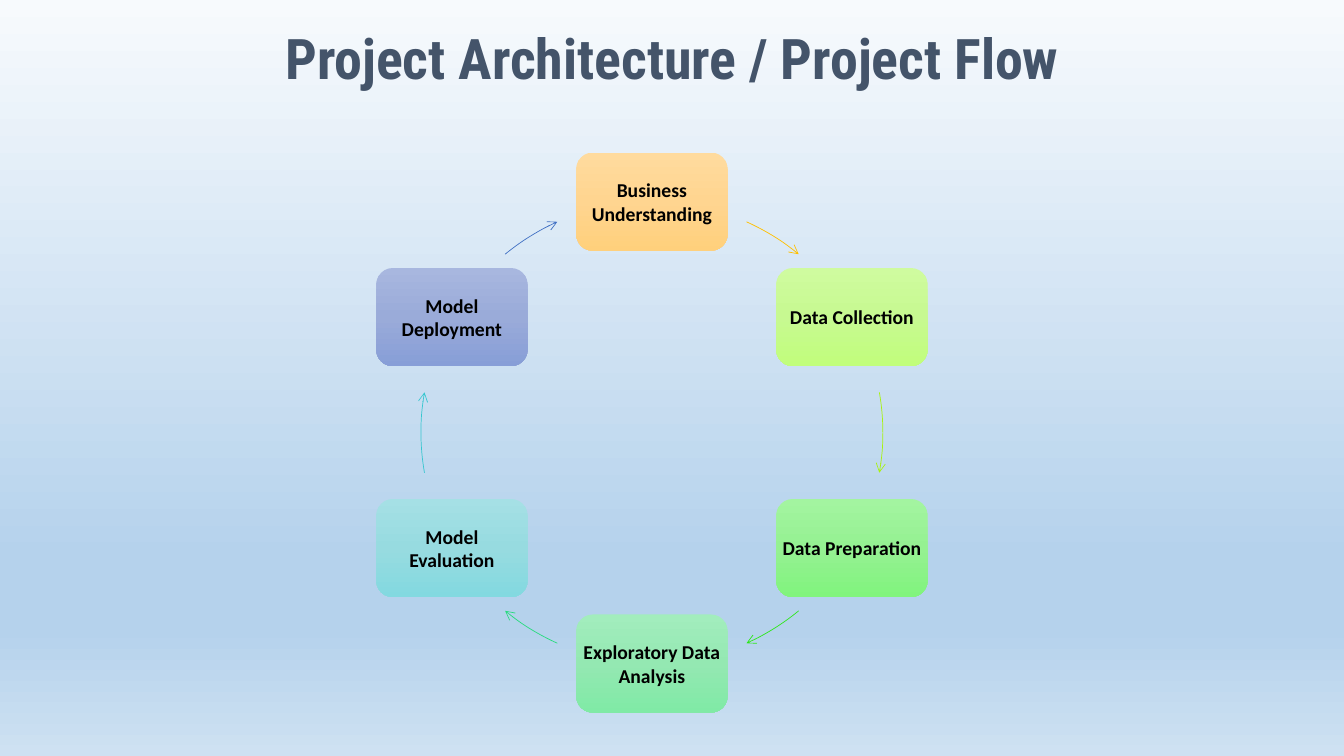
from math import cos, radians, sin

from lxml.etree import SubElement
from pptx import Presentation
from pptx.dml.color import RGBColor
from pptx.enum.shapes import MSO_SHAPE as Shape
from pptx.enum.text import MSO_ANCHOR as Anchor, PP_ALIGN as Align
from pptx.oxml.ns import qn
from pptx.util import Cm, Pt

COLORS = {"title": "44546A", "label": "000000"}
BACKDROP = [(0, "F7FAFD"), (74, "B5D2EC"), (83, "B5D2EC"), (100, "CEE1F2")]

# Clockwise from the top: label, gradient from top to bottom, colour of the arrow that follows
STAGES = [
    ("Business Understanding", ("FFDB9E", "FFD590", "FFD07C"), "FFC000"),
    ("Data Collection", ("CFFB9F", "C7F991", "C1FE7C"), "A7F30E"),
    ("Data Preparation", ("A3F4A0", "95F192", "81F47E"), "2EE71B"),
    ("Exploratory Data Analysis", ("A2EDBD", "94E8B2", "80EAA6"), "29DB7F"),
    ("Model Evaluation", ("A5E0E5", "97DBE0", "83D9E0"), "36C6CF"),
    ("Model Deployment", ("A8B7DF", "9AABD9", "879ED7"), "4372C4"),
]
# Start and end of the first three arrows in degrees; the other three lie opposite
ARROW_SPANS = [(294.18, 309.47), (349.97, 10.03), (50.53, 65.82)]
STAGE_WIDTH, STAGE_HEIGHT = 3.81, 2.47


def paint_gradient(fill, owner, stops):
    """Fill from top to bottom with (percent, colour) stops; owner is the XML element holding the fill."""
    fill.gradient()
    fill.gradient_angle = 270
    stop_list = owner.find(".//" + qn("a:gsLst"))
    for old_stop in list(stop_list):
        stop_list.remove(old_stop)
    for percent, color in stops:
        stop = SubElement(stop_list, qn("a:gs"), pos=str(percent * 1000))
        SubElement(stop, qn("a:srgbClr"), val=color)


def write(frame, text, font_name, size, color):
    frame.word_wrap = True
    frame.vertical_anchor = Anchor.MIDDLE
    paragraph = frame.paragraphs[0]
    paragraph.alignment = Align.CENTER
    run = paragraph.add_run()
    run.text = text
    run.font.name = font_name
    run.font.size = Pt(size)
    run.font.bold = True
    run.font.color.rgb = RGBColor.from_string(color)
    return paragraph


def add_title(slide, left, top, width, height):
    title = slide.shapes.title
    title.left, title.top, title.width, title.height = map(Cm, (left, top, width, height))
    heading = write(title.text_frame, "Project Architecture / Project Flow",
                    "Roboto Condensed", 40, COLORS["title"])
    heading.line_spacing = 0.9


def add_stage(slide, center_x, center_y, label, gradient):
    stage = slide.shapes.add_shape(
        Shape.ROUNDED_RECTANGLE, Cm(center_x - STAGE_WIDTH / 2), Cm(center_y - STAGE_HEIGHT / 2),
        Cm(STAGE_WIDTH), Cm(STAGE_HEIGHT))
    stage.shadow.inherit = False
    stage.line.fill.background()
    paint_gradient(stage.fill, stage._element.spPr, zip((0, 50, 100), gradient))
    frame = stage.text_frame
    frame.margin_left = frame.margin_right = frame.margin_top = frame.margin_bottom = 0
    write(frame, label, "Calibri", 14, COLORS["label"])


def add_arc_arrow(slide, left, top, diameter, span, color):
    arrow = slide.shapes.add_shape(Shape.ARC, Cm(left), Cm(top), Cm(diameter), Cm(diameter))
    arrow.shadow.inherit = False
    arrow.fill.background()
    # Arc angles count 60000ths of a degree, adjustments 100000ths of a unit
    for index, angle in enumerate(span):
        arrow.adjustments[index] = angle * 0.6
    arrow.line.color.rgb = RGBColor.from_string(color)
    arrow.line.width = Pt(0.5)
    SubElement(arrow.line._get_or_add_ln(), qn("a:tailEnd"), type="arrow")


def add_cycle(slide, left, top, diameter):
    """Place the stages on a circle in the given square, with an arrow after each."""
    radius = diameter / 2
    step = 360 / len(STAGES)
    for index, (label, gradient, arrow_color) in enumerate(STAGES):
        angle = radians(index * step - 90)
        add_stage(slide, left + radius * (1 + cos(angle)), top + radius * (1 + sin(angle)),
                  label, gradient)
        half_turns, position = divmod(index, len(ARROW_SPANS))
        span = [(degrees + 180 * half_turns) % 360 for degrees in ARROW_SPANS[position]]
        add_arc_arrow(slide, left, top, diameter, span, arrow_color)


def main():
    presentation = Presentation()
    presentation.slide_width, presentation.slide_height = Cm(33.87), Cm(19.05)
    slide = presentation.slides.add_slide(presentation.slide_layouts[5])
    paint_gradient(slide.background.fill, slide._element, BACKDROP)
    add_title(slide, 2.33, 0.23, 29.21, 2.62)
    add_cycle(slide, 10.61, 5.08, 11.64)
    presentation.save("out.pptx")


if __name__ == "__main__":
    main()
